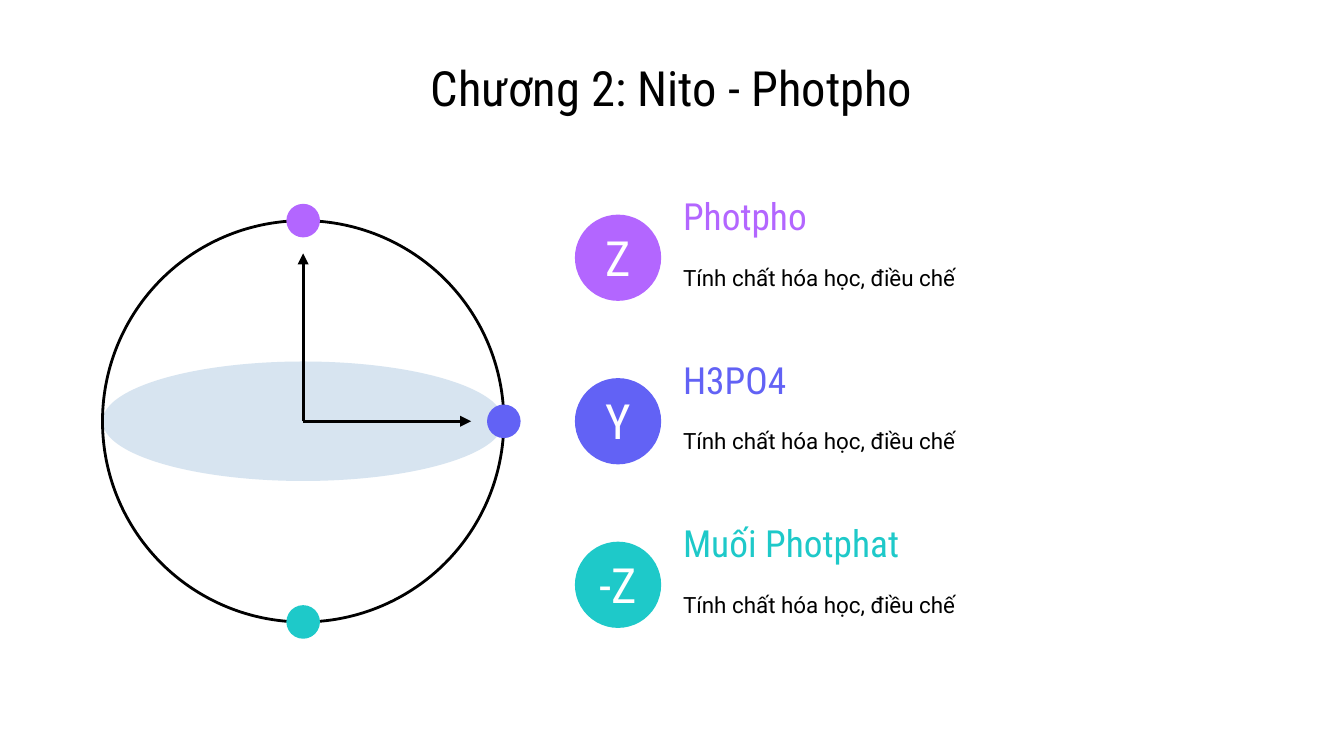
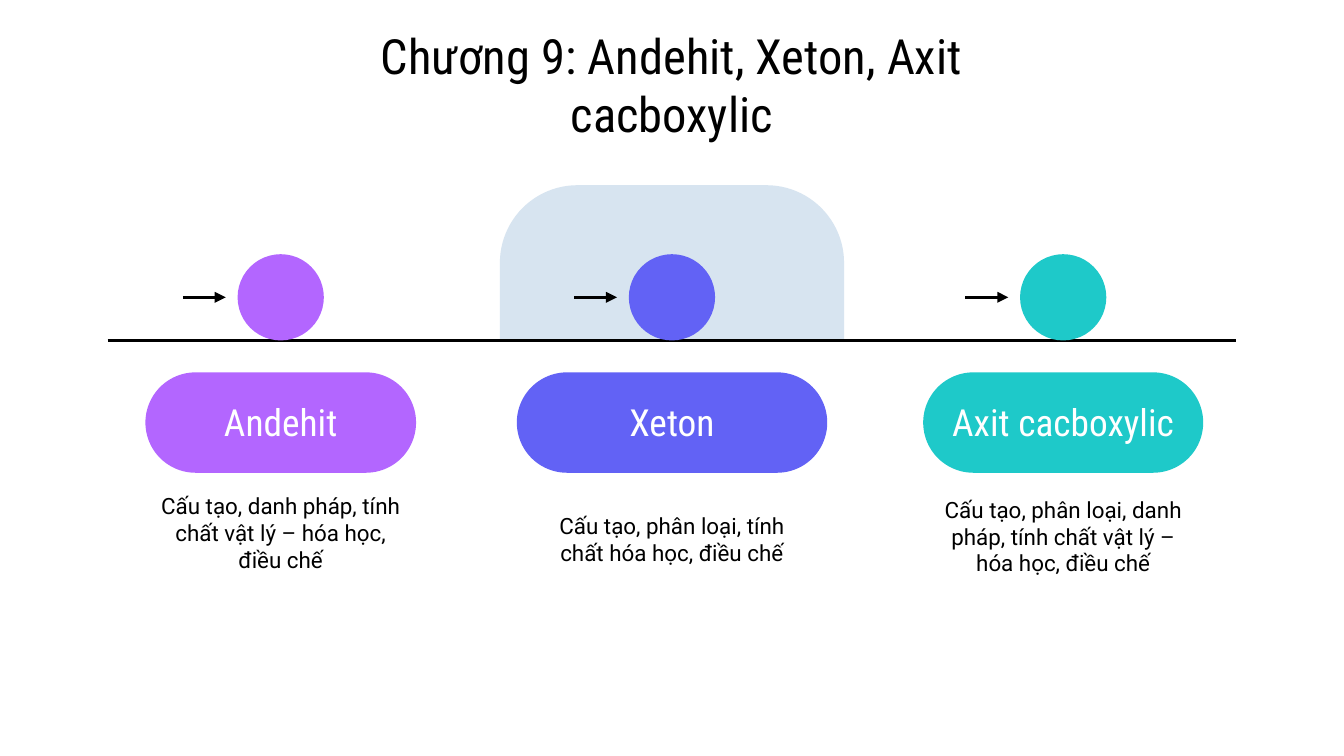
from dataclasses import dataclass

from lxml.etree import SubElement
from pptx import Presentation
from pptx.dml.color import RGBColor
from pptx.enum.shapes import MSO_CONNECTOR as Connector, MSO_SHAPE as Preset
from pptx.enum.text import MSO_ANCHOR as Anchor, PP_ALIGN as Align
from pptx.oxml.ns import qn
from pptx.shapes.autoshape import Shape
from pptx.slide import Slide
from pptx.util import Pt

BLACK = RGBColor(0x00, 0x00, 0x00)
WHITE = RGBColor(0xFF, 0xFF, 0xFF)
PALE = RGBColor(0xD7, 0xE4, 0xF0)
PURPLE = RGBColor(0xB3, 0x66, 0xFF)
INDIGO = RGBColor(0x62, 0x62, 0xF5)
TEAL = RGBColor(0x1E, 0xC9, 0xC9)

SLIDE_WIDTH, SLIDE_HEIGHT = 720, 405
LINE_WIDTH = 1.5
BALL_SIZE = 46.2
INSET = 7.2
TEXT_INSETS = (INSET, INSET, INSET, INSET)
PILL_INSETS = (INSET, INSET, INSET, 7.9)
BALL_INSETS = (0, INSET, 0, 7.9)


@dataclass(frozen=True)
class Box:
    left: float
    top: float
    width: float
    height: float


@dataclass(frozen=True)
class TextStyle:
    font: str
    size: float
    color: RGBColor
    align: Align = Align.CENTER
    insets: tuple[float, float, float, float] = TEXT_INSETS


@dataclass(frozen=True)
class Topic:
    symbol: str
    heading: str
    color: RGBColor


@dataclass(frozen=True)
class Stage:
    heading: str
    description: str
    color: RGBColor
    pill_width: float
    description_top: float


HEADING_FONT, BODY_FONT = "Roboto Condensed", "Roboto"
TITLE_STYLE = TextStyle(HEADING_FONT, 26, BLACK)
SYMBOL_STYLE = TextStyle(HEADING_FONT, 26, WHITE, insets=BALL_INSETS)
PILL_STYLE = TextStyle(HEADING_FONT, 20, WHITE, insets=PILL_INSETS)
CAPTION_STYLE = TextStyle(BODY_FONT, 12, BLACK)
DETAIL_STYLE = TextStyle(BODY_FONT, 12, BLACK, Align.LEFT)

TOPIC_DETAIL = "Tính chất hóa học, điều chế"
TOPICS = [
    Topic("Z", "Photpho", PURPLE),
    Topic("Y", "H3PO4", INDIGO),
    Topic("-Z", "Muối Photphat", TEAL),
]
STAGES = [
    Stage("Andehit", "Cấu tạo, danh pháp, tính chất vật lý – hóa học, điều chế",
          PURPLE, 145, 257.8),
    Stage("Xeton", "Cấu tạo, phân loại, tính chất hóa học, điều chế",
          INDIGO, 166.3, 261.4),
    Stage("Axit cacboxylic",
          "Cấu tạo, phân loại, danh pháp, tính chất vật lý – hóa học, điều chế",
          TEAL, 150, 259.9),
]


def centered(x: float, y: float, width: float, height: float) -> Box:
    return Box(x - width / 2, y - height / 2, width, height)


def write_text(shape: Shape, text: str, style: TextStyle) -> None:
    frame = shape.text_frame
    frame.word_wrap = True
    frame.vertical_anchor = Anchor.MIDDLE
    left, top, right, bottom = style.insets
    frame.margin_left, frame.margin_top = Pt(left), Pt(top)
    frame.margin_right, frame.margin_bottom = Pt(right), Pt(bottom)
    paragraph = frame.paragraphs[0]
    paragraph.alignment = style.align
    run = paragraph.add_run()
    run.text = text
    run.font.name = style.font
    run.font.size = Pt(style.size)
    run.font.color.rgb = style.color


def add_text(slide: Slide, box: Box, text: str, style: TextStyle) -> None:
    shape = slide.shapes.add_textbox(
        Pt(box.left), Pt(box.top), Pt(box.width), Pt(box.height))
    write_text(shape, text, style)


def add_preset(slide: Slide, preset: Preset, box: Box,
               fill: RGBColor | None = None,
               line: RGBColor | None = None) -> Shape:
    shape = slide.shapes.add_shape(
        preset, Pt(box.left), Pt(box.top), Pt(box.width), Pt(box.height))
    shape.shadow.inherit = False
    if fill is None:
        shape.fill.background()
    else:
        shape.fill.solid()
        shape.fill.fore_color.rgb = fill
    if line is None:
        shape.line.fill.background()
    else:
        shape.line.color.rgb = line
        shape.line.width = Pt(LINE_WIDTH)
    return shape


def add_line(slide: Slide, start: tuple[float, float],
             end: tuple[float, float], arrow: bool = False) -> None:
    connector = slide.shapes.add_connector(
        Connector.STRAIGHT, *(Pt(value) for value in (*start, *end)))
    connector.line.color.rgb = BLACK
    connector.line.width = Pt(LINE_WIDTH)
    if arrow:
        SubElement(connector.line._get_or_add_ln(), qn("a:tailEnd"), type="triangle")
    SubElement(connector._element.spPr, qn("a:effectLst"))


def add_titled_slide(presentation: Presentation, title: str, top: float) -> Slide:
    slide = presentation.slides.add_slide(presentation.slide_layouts[6])
    add_text(slide, Box(158.2, top, 403.6, 45.4), title, TITLE_STYLE)
    return slide


def draw_sphere(slide: Slide) -> None:
    x, y, radius, dot, reach = 162.4, 225.7, 107.5, 18, 90
    add_preset(slide, Preset.OVAL, centered(x, y, 2 * radius, 64), PALE)
    add_preset(slide, Preset.OVAL, centered(x, y, 2 * radius, 2 * radius), line=BLACK)
    for dot_x, dot_y, color in [(x, y - radius, PURPLE), (x, y + radius, TEAL),
                                (x + radius, y, INDIGO)]:
        add_preset(slide, Preset.OVAL, centered(dot_x, dot_y, dot, dot), color)
    add_line(slide, (x, y), (x, y - reach), arrow=True)
    add_line(slide, (x, y), (x + reach, y), arrow=True)


def draw_topic(slide: Slide, topic: Topic, top: float) -> None:
    ball = add_preset(slide, Preset.OVAL,
                      Box(308, top, BALL_SIZE, BALL_SIZE), topic.color)
    write_text(ball, topic.symbol, SYMBOL_STYLE)
    heading_style = TextStyle(HEADING_FONT, 20, topic.color, Align.LEFT)
    add_text(slide, Box(358.8, top - 12.7, 306, 26.6), topic.heading, heading_style)
    add_text(slide, Box(358.8, top + 10.8, 306, 45.4), TOPIC_DETAIL, DETAIL_STYLE)


def draw_stage(slide: Slide, stage: Stage, x: float, ground: float) -> None:
    middle = ground - BALL_SIZE / 2
    add_line(slide, (x - 52.4, middle), (x - 29.4, middle), arrow=True)
    add_preset(slide, Preset.OVAL,
               centered(x, middle, BALL_SIZE, BALL_SIZE), stage.color)
    pill = add_preset(slide, Preset.ROUNDED_RECTANGLE,
                      centered(x, 226.4, stage.pill_width, 53.8), stage.color)
    pill.adjustments[0] = 0.5
    write_text(pill, stage.heading, PILL_STYLE)
    add_text(slide, Box(x - 76.3, stage.description_top, 152.6, 54.7),
             stage.description, CAPTION_STYLE)


def build_phosphorus(presentation: Presentation) -> None:
    slide = add_titled_slide(presentation, "Chương 2: Nito - Photpho", 24)
    draw_sphere(slide)
    for index, topic in enumerate(TOPICS):
        draw_topic(slide, topic, 115 + 87.6 * index)


def build_carbonyl(presentation: Presentation) -> None:
    slide = add_titled_slide(
        presentation, "Chương 9: Andehit, Xeton, Axit cacboxylic", 22.3)
    middle, ground, pitch = SLIDE_WIDTH / 2, 182.4, 209.6
    dome = add_preset(slide, Preset.ROUND_2_SAME_RECTANGLE,
                      Box(middle - 92.2, 99.2, 184.4, ground - 99.2), PALE)
    dome.adjustments[0] = 0.5
    dome.adjustments[1] = 0
    add_line(slide, (middle - 302.4, ground), (middle + 302.4, ground))
    for index, stage in enumerate(STAGES):
        draw_stage(slide, stage, middle + pitch * (index - 1), ground)


def main() -> None:
    presentation = Presentation()
    presentation.slide_width = Pt(SLIDE_WIDTH)
    presentation.slide_height = Pt(SLIDE_HEIGHT)
    build_phosphorus(presentation)
    build_carbonyl(presentation)
    presentation.save("out.pptx")


if __name__ == "__main__":
    main()
